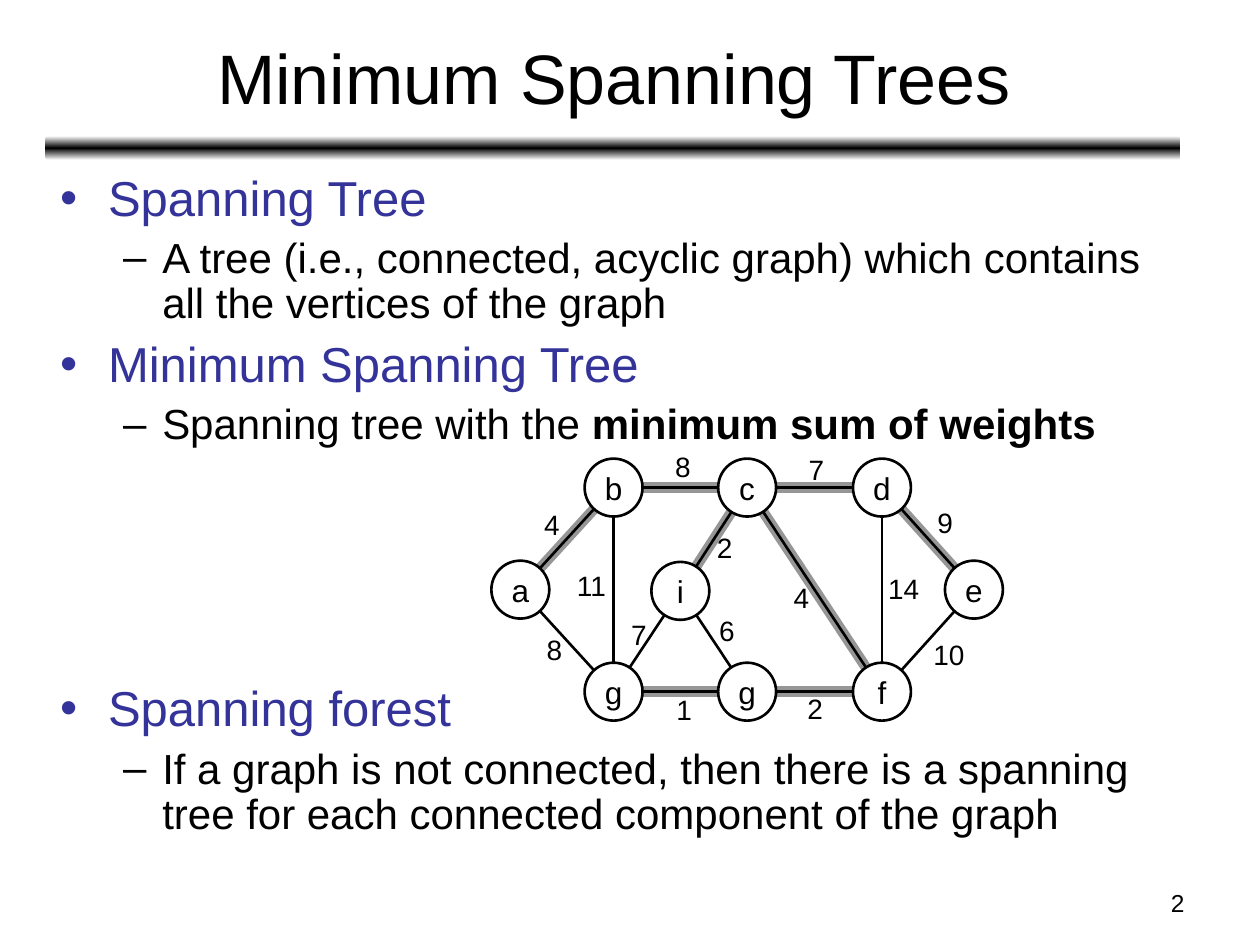
import copy
import math
import pptx
import pptx.util
import pptx.dml.color
import pptx.enum.shapes
import pptx.enum.text
import pptx.oxml
import pptx.oxml.ns
from pptx.util import Inches, Pt

RGBColor = pptx.dml.color.RGBColor
PP_ALIGN = pptx.enum.text.PP_ALIGN
MIDDLE = pptx.enum.text.MSO_ANCHOR.MIDDLE
FIT_SHAPE = pptx.enum.text.MSO_AUTO_SIZE.SHAPE_TO_FIT_TEXT
SHAPE = pptx.enum.shapes.MSO_SHAPE
STRAIGHT = pptx.enum.shapes.MSO_CONNECTOR.STRAIGHT
qn = pptx.oxml.ns.qn
NS = pptx.oxml.ns.nsdecls("a")
BLACK = RGBColor(0x00, 0x00, 0x00)
WHITE = RGBColor(0xFF, 0xFF, 0xFF)
GREY = RGBColor(0x96, 0x96, 0x96)
INDIGO = RGBColor(0x33, 0x33, 0x99)

prs = pptx.Presentation()
prs.slide_width, prs.slide_height = Inches(10), Inches(7.5)
s = prs.slides.add_slide(prs.slide_layouts[6])


def style(p, size, color=BLACK, align=PP_ALIGN.LEFT):
    p.alignment = align
    for r in p.runs:
        r.font.name = "Arial"
        r.font.size = Pt(size)
        r.font.color.rgb = color


def text_box(text, x, y, w, h, size, align=PP_ALIGN.LEFT):
    tf = s.shapes.add_textbox(Inches(x), Inches(y), Inches(w), Inches(h)).text_frame
    tf.word_wrap = True
    tf.text = text
    style(tf.paragraphs[0], size, BLACK, align)
    return tf


bar = s.shapes.add_shape(SHAPE.ROUNDED_RECTANGLE, Inches(0.36), Inches(1.08), Inches(9.01), Inches(0.19))
bar.shadow.inherit = False
bar.line.fill.background()
bar.fill.gradient()
bar.fill.gradient_angle = 90
stops = bar._element.spPr.find(qn("a:gradFill")).find(qn("a:gsLst"))
stops.insert(1, copy.deepcopy(stops[0]))
for stop, position, color in zip(bar.fill.gradient_stops, (0, 0.5, 1), (WHITE, BLACK, WHITE)):
    stop.position = position
    stop.color.rgb = color

text_box("2", 7.17, 7, 2.33, 0.35, 14, PP_ALIGN.RIGHT)
title = text_box("Minimum Spanning Trees", 0.37, 0.11, 9, 0.99, 40, PP_ALIGN.CENTER)
title.vertical_anchor = MIDDLE

outline = [
    (0, ["Spanning Tree"], 7),
    (1, ["A tree (i.e., connected, acyclic graph) which contains all the vertices of the graph"], 6),
    (0, ["Minimum Spanning Tree"], 7),
    (1, ["Spanning tree with the ", "minimum sum of weights"], 6),
    (0, ["Spanning forest"], 134.5),
    (1, ["If a graph is not connected, then there is a spanning tree for each connected component of the graph"], 6),
]
levels = [(28, INDIGO, 0.38, 0.38, "•"), (24, BLACK, 0.81, 0.31, "–")]
tf = text_box("", 0.38, 1.33, 9, 5.71, 28)
for i, (level, texts, before) in enumerate(outline):
    size, color, margin, hanging, bullet = levels[level]
    p = tf.add_paragraph() if i else tf.paragraphs[0]
    p.level = level
    p.line_spacing = 0.9
    p.space_before = Pt(before)
    for j, text in enumerate(texts):
        r = p.add_run()
        r.text = text
        r.font.bold = j > 0
    style(p, size, color)
    pPr = p._p.get_or_add_pPr()
    pPr.set("marL", str(Inches(margin)))
    pPr.set("indent", str(-Inches(hanging)))
    pPr.append(pptx.oxml.parse_xml(f'<a:buClr {NS}><a:srgbClr val="{color}"/></a:buClr>'))
    pPr.append(pptx.oxml.parse_xml(f'<a:buFont {NS} typeface="Arial"/>'))
    pPr.append(pptx.oxml.parse_xml(f'<a:buChar {NS} char="{bullet}"/>'))

RADIUS = 0.23
nodes = {
    "a": ("a", 4.13, 4.68), "b": ("b", 4.87, 3.87), "c": ("c", 5.93, 3.87),
    "d": ("d", 7.0, 3.87), "e": ("e", 7.73, 4.68), "g1": ("g", 4.87, 5.49),
    "g2": ("g", 5.93, 5.49), "f": ("f", 7.0, 5.49), "i": ("i", 5.4, 4.69),
}
edges = [
    ("a", "b", "4", True, 4.22, 3.98), ("b", "c", "8", True, 5.26, 3.52),
    ("c", "d", "7", True, 6.32, 3.54), ("a", "g1", "8", False, 4.24, 4.97),
    ("b", "g1", "11", False, 4.48, 4.46), ("g1", "g2", "1", True, 5.27, 5.45),
    ("g2", "f", "2", True, 6.31, 5.44), ("g1", "i", "7", False, 4.91, 4.85),
    ("c", "i", "2", True, 5.59, 4.16), ("c", "f", "4", True, 6.2, 4.56),
    ("d", "f", "14", False, 6.95, 4.49), ("d", "e", "9", True, 7.34, 3.96),
    ("f", "e", "10", False, 7.31, 5.01), ("i", "g2", "6", False, 5.61, 4.82),
]

for color, width, tree_only in ((GREY, 6, True), (BLACK, 1.5, False)):
    for start, end, weight, in_tree, x, y in edges:
        if tree_only and not in_tree:
            continue
        x1, y1 = nodes[start][1:]
        x2, y2 = nodes[end][1:]
        length = math.hypot(x2 - x1, y2 - y1)
        dx, dy = RADIUS * (x2 - x1) / length, RADIUS * (y2 - y1) / length
        edge = s.shapes.add_connector(STRAIGHT, Inches(x1 + dx), Inches(y1 + dy), Inches(x2 - dx), Inches(y2 - dy))
        edge.line.color.rgb = color
        edge.line.width = Pt(width)
        edge._element.spPr.append(pptx.oxml.parse_xml(f'<a:effectLst {NS}/>'))

for label, x, y in nodes.values():
    node = s.shapes.add_shape(SHAPE.OVAL, Inches(x - RADIUS), Inches(y - RADIUS), Inches(2 * RADIUS), Inches(2 * RADIUS))
    node.shadow.inherit = False
    node.fill.background()
    node.line.color.rgb = BLACK
    node.line.width = Pt(1.5)
    tf = node.text_frame
    tf.word_wrap = False
    tf.vertical_anchor = MIDDLE
    tf.text = label
    style(tf.paragraphs[0], 18, BLACK, PP_ALIGN.CENTER)

for start, end, weight, in_tree, x, y in edges:
    tf = text_box(weight, x, y, 0.32 if len(weight) == 1 else 0.46, 0.37, 16)
    tf.word_wrap = False
    tf.auto_size = FIT_SHAPE

prs.save("out.pptx")
